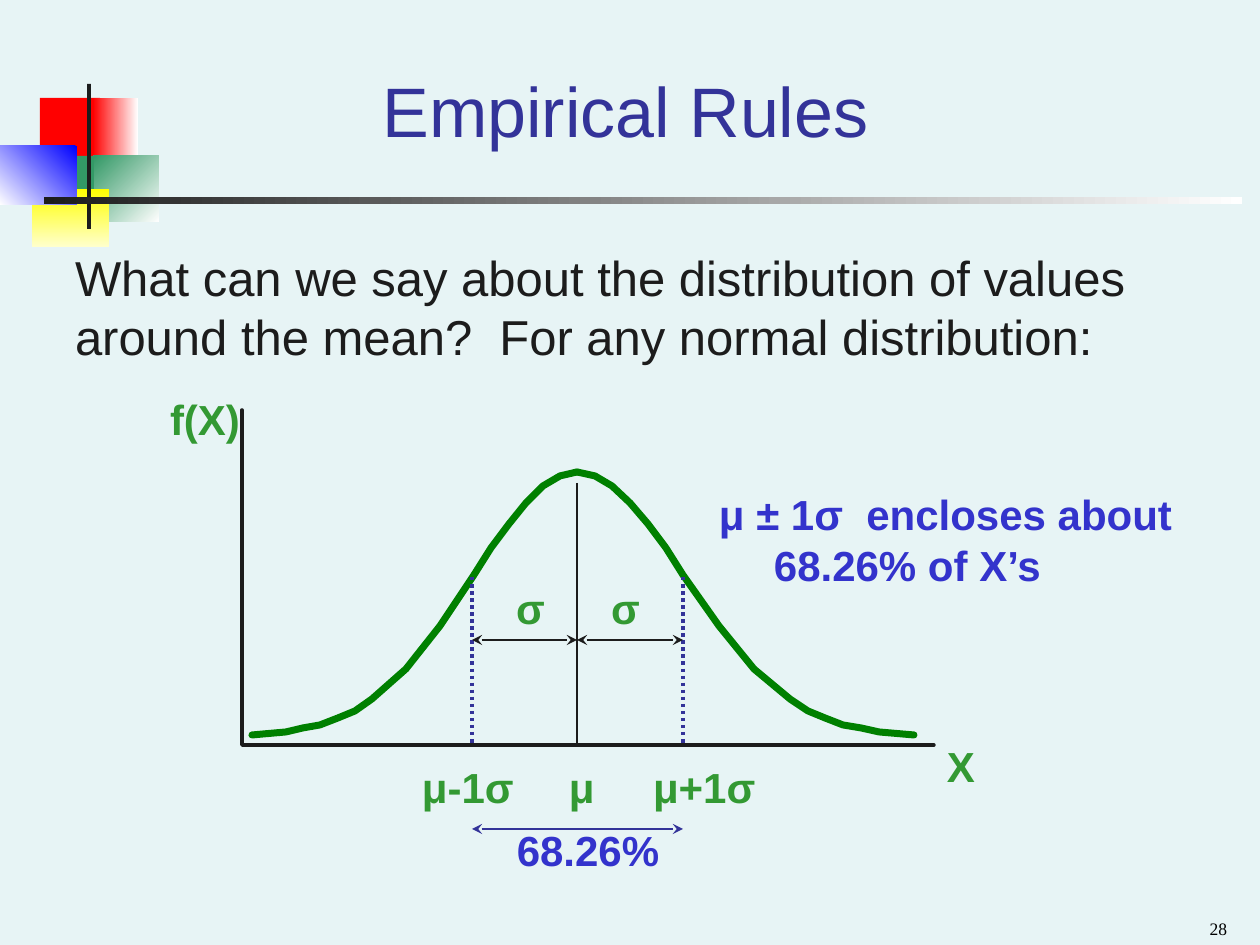
from dataclasses import dataclass

from lxml import etree
from pptx import Presentation
from pptx.dml.color import RGBColor
from pptx.enum.dml import MSO_LINE
from pptx.enum.shapes import MSO_CONNECTOR, MSO_SHAPE
from pptx.enum.text import MSO_ANCHOR, MSO_AUTO_SIZE, PP_ALIGN
from pptx.oxml.ns import qn
from pptx.util import Emu, Pt

EMU_PER_PX = 914400 / 126
LEFT, CENTER, RIGHT = PP_ALIGN.LEFT, PP_ALIGN.CENTER, PP_ALIGN.RIGHT
TOP, BOTTOM = MSO_ANCHOR.TOP, MSO_ANCHOR.BOTTOM
RECTANGLE, STRAIGHT = MSO_SHAPE.RECTANGLE, MSO_CONNECTOR.STRAIGHT
DOTTED = MSO_LINE.ROUND_DOT


@dataclass(frozen=True)
class Theme:
    background: str = "E7F4F5"
    ink: str = "1C1C1C"
    title: str = "333399"
    accent: str = "3333CC"
    label: str = "339933"
    curve: str = "008000"
    white: str = "FFFFFF"
    black: str = "000000"
    red: str = "FF0000"
    green: str = "339966"
    yellow: str = "FFFF00"
    pale_yellow: str = "FFFFCC"
    blue: str = "0000FF"
    font: str = "Arial"
    number_font: str = "Times New Roman"
    title_size: int = 40
    body_size: int = 28
    label_size: int = 24
    number_size: int = 10


THEME = Theme()


@dataclass(frozen=True)
class Box:
    left: int
    top: int
    width: int
    height: int


@dataclass(frozen=True)
class Block:
    """A decorative rectangle; with an end colour it is a gradient."""
    box: Box
    color: str
    end_color: str = ""
    angle: int = 0


@dataclass(frozen=True)
class Rule:
    start: tuple[int, int]
    end: tuple[int, int]
    color: str
    width: int = 1
    dotted: bool = False
    arrows: bool = False


@dataclass(frozen=True)
class Label:
    text: str
    box: Box
    color: str = THEME.label
    align: PP_ALIGN = LEFT
    wrap: bool = True


MEAN_X, LOWER_X, UPPER_X = 577, 472, 683
AXIS_Y, SIGMA_Y, SPAN_Y = 745, 640, 829
AXES = [(242, 410), (242, AXIS_Y), (934, AXIS_Y)]
# Steps from a tail to the mean, in nineteenths of the way, and their heights
CURVE_STEPS = [0, 2, 3, 4, 5, 6, 7, 9, 11, 13, 14, 15, 16, 17, 18, 19]
CURVE_Y = [735, 732, 728, 725, 718, 711, 699, 669, 626, 575, 548, 524, 503, 486, 476, 472]
CURVE_TAILS = [252, 914]

BLOCKS = [
    Block(Box(40, 98, 60, 66), THEME.red),
    Block(Box(93, 98, 45, 66), THEME.white, THEME.red, 180),
    Block(Box(94, 156, 65, 66), THEME.white, THEME.green, 225),
    Block(Box(54, 156, 40, 66), THEME.green),
    Block(Box(32, 189, 77, 58), THEME.yellow, THEME.pale_yellow, 90),
    Block(Box(0, 146, 77, 59), THEME.blue, THEME.white, 135),
    Block(Box(87, 84, 4, 145), THEME.ink),
    Block(Box(44, 197, 1198, 7), THEME.white, THEME.ink, 180),
]
RULES = [
    Rule((MEAN_X, 483), (MEAN_X, AXIS_Y), THEME.ink),
    Rule((LOWER_X, 577), (LOWER_X, AXIS_Y), THEME.title, 2, dotted=True),
    Rule((UPPER_X, 577), (UPPER_X, AXIS_Y), THEME.title, 2, dotted=True),
    Rule((MEAN_X, SIGMA_Y), (UPPER_X, SIGMA_Y), THEME.ink, arrows=True),
    Rule((LOWER_X, SIGMA_Y), (MEAN_X, SIGMA_Y), THEME.ink, arrows=True),
    Rule((LOWER_X, SPAN_Y), (UPPER_X, SPAN_Y), THEME.title, arrows=True),
]
LABELS = [
    Label("f(X)", Box(158, 388, 94, 63), wrap=False),
    Label("X", Box(935, 735, 53, 63), wrap=False),
    Label("μ-1σ", Box(410, 756, 126, 63)),
    Label("μ", Box(557, 756, 66, 63)),
    Label("μ+1σ", Box(641, 756, 147, 63)),
    Label("σ", Box(504, 577, 42, 63)),
    Label("σ", Box(599, 577, 42, 63)),
    Label("68.26%", Box(504, 819, 168, 63), THEME.accent, CENTER, wrap=False),
]


def px(value: float) -> Emu:
    return Emu(round(value * EMU_PER_PX))


def rgb(color: str) -> RGBColor:
    return RGBColor.from_string(color)


def place(shape, box: Box) -> None:
    shape.left, shape.top = px(box.left), px(box.top)
    shape.width, shape.height = px(box.width), px(box.height)


def write_text(shape, text: str, *, size: int, color: str, font: str = THEME.font,
               bold: bool = False, align: PP_ALIGN = LEFT, anchor: MSO_ANCHOR = TOP,
               wrap: bool = True, margin: int = 0, indent: int = 0) -> None:
    frame = shape.text_frame
    frame.auto_size, frame.word_wrap = MSO_AUTO_SIZE.NONE, wrap
    frame.vertical_anchor = anchor
    frame.margin_left = frame.margin_right = px(12)
    frame.margin_top = frame.margin_bottom = px(6)
    paragraph = frame.paragraphs[0]
    paragraph.text, paragraph.alignment = text, align
    if margin:
        properties = paragraph._p.get_or_add_pPr()
        properties.set("marL", str(px(margin)))
        properties.set("indent", str(px(indent)))
    style = paragraph.runs[0].font
    style.name, style.size, style.bold = font, Pt(size), bold
    style.color.rgb = rgb(color)


def add_text(slide, text: str, box: Box, **text_format) -> None:
    shape = slide.shapes.add_textbox(0, 0, 0, 0)
    place(shape, box)
    write_text(shape, text, **text_format)


def add_block(slide, block: Block) -> None:
    shape = slide.shapes.add_shape(RECTANGLE, 0, 0, 0, 0)
    place(shape, block.box)
    shape.shadow.inherit = False
    shape.line.fill.background()
    if block.end_color:
        shape.fill.gradient()
        shape.fill.gradient_angle = (360 - block.angle) % 360
        for stop, color in zip(shape.fill.gradient_stops, (block.color, block.end_color)):
            stop.color.rgb = rgb(color)
    else:
        shape.fill.solid()
        shape.fill.fore_color.rgb = rgb(block.color)


def add_outline(slide, points: list[tuple[float, float]], color: str, width: int) -> None:
    builder = slide.shapes.build_freeform(*points[0], scale=EMU_PER_PX)
    builder.add_line_segments(points[1:], close=False)
    shape = builder.convert_to_shape()
    shape.shadow.inherit = False
    shape.fill.background()
    shape.line.color.rgb, shape.line.width = rgb(color), Pt(width)
    shape._element.spPr.find(qn("a:ln")).set("cap", "rnd")


def add_rule(slide, rule: Rule) -> None:
    connector = slide.shapes.add_connector(STRAIGHT, *map(px, rule.start + rule.end))
    connector.line.color.rgb, connector.line.width = rgb(rule.color), Pt(rule.width)
    if rule.dotted:
        connector.line.dash_style = DOTTED
    properties = connector._element.spPr
    if rule.arrows:
        for end in ("a:headEnd", "a:tailEnd"):
            etree.SubElement(properties.find(qn("a:ln")), qn(end), type="stealth")
    etree.SubElement(properties, qn("a:effectLst"))


def main() -> None:
    presentation = Presentation()
    presentation.slide_width, presentation.slide_height = px(1260), px(945)
    slide = presentation.slides.add_slide(presentation.slide_layouts[5])
    slide.background.fill.solid()
    slide.background.fill.fore_color.rgb = rgb(THEME.background)

    for block in BLOCKS:
        add_block(slide, block)
    place(slide.shapes.title, Box(158, 32, 935, 126))
    write_text(slide.shapes.title, "Empirical Rules", size=THEME.title_size,
               color=THEME.title, align=CENTER, anchor=BOTTOM)
    add_text(slide, "What can we say about the distribution of values around the mean?"
             "  For any normal distribution:", Box(63, 242, 1166, 131),
             size=THEME.body_size, color=THEME.ink)
    add_text(slide, "μ ± 1σ  encloses about 68.26% of X’s", Box(683, 483, 577, 139),
             size=THEME.label_size, color=THEME.accent, bold=True, margin=79, indent=-55)

    add_outline(slide, AXES, THEME.ink, 2)
    for tail in CURVE_TAILS:
        xs = [tail + (MEAN_X - tail) * step / CURVE_STEPS[-1] for step in CURVE_STEPS]
        add_outline(slide, list(zip(xs, CURVE_Y)), THEME.curve, 4)
    for rule in RULES:
        add_rule(slide, rule)
    for label in LABELS:
        add_text(slide, label.text, label.box, size=THEME.label_size, color=label.color,
                 bold=True, align=label.align, wrap=label.wrap)
    add_text(slide, "28", Box(945, 901, 294, 44), size=THEME.number_size, color=THEME.black,
             font=THEME.number_font, align=RIGHT, anchor=BOTTOM)
    presentation.save("out.pptx")


if __name__ == "__main__":
    main()
